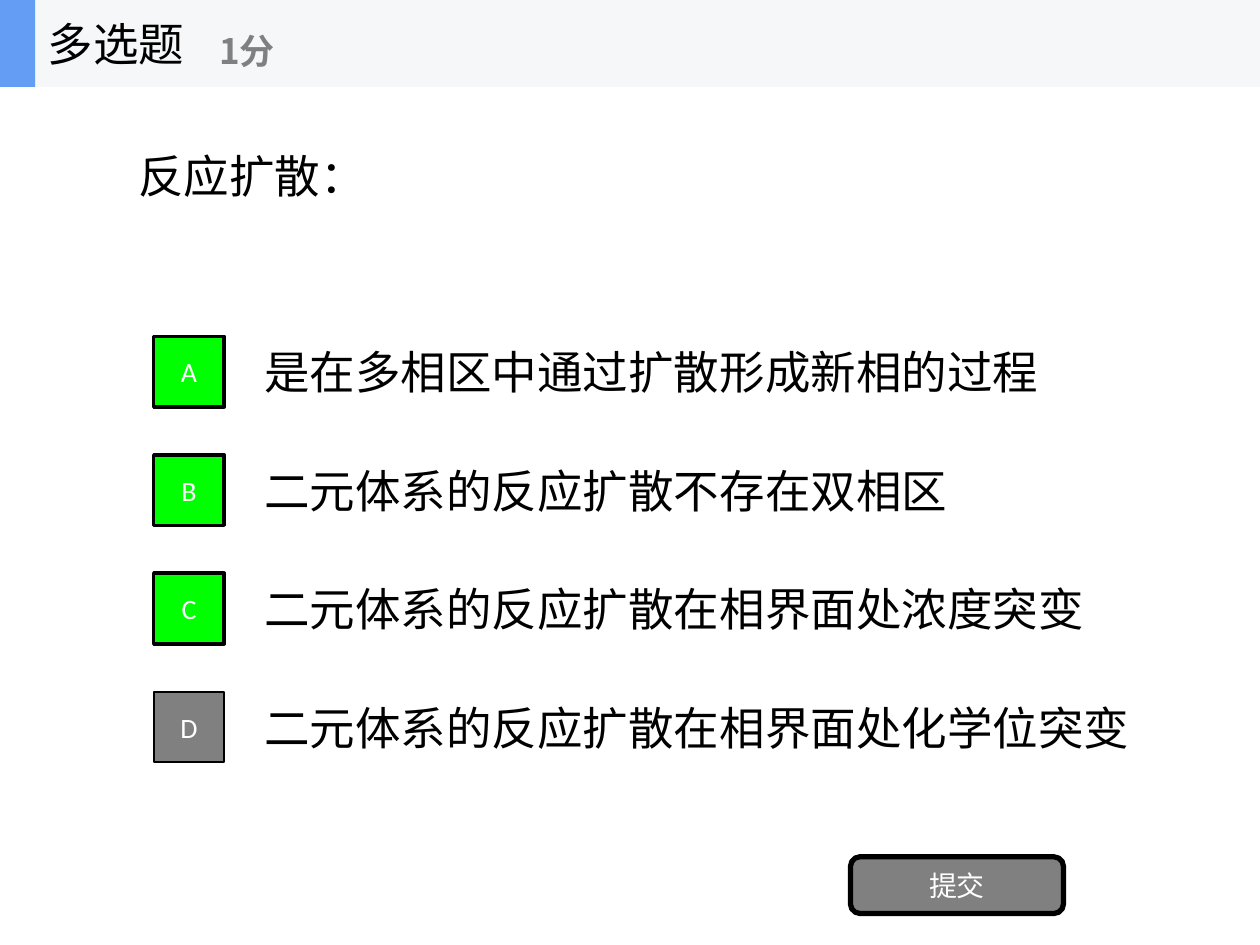
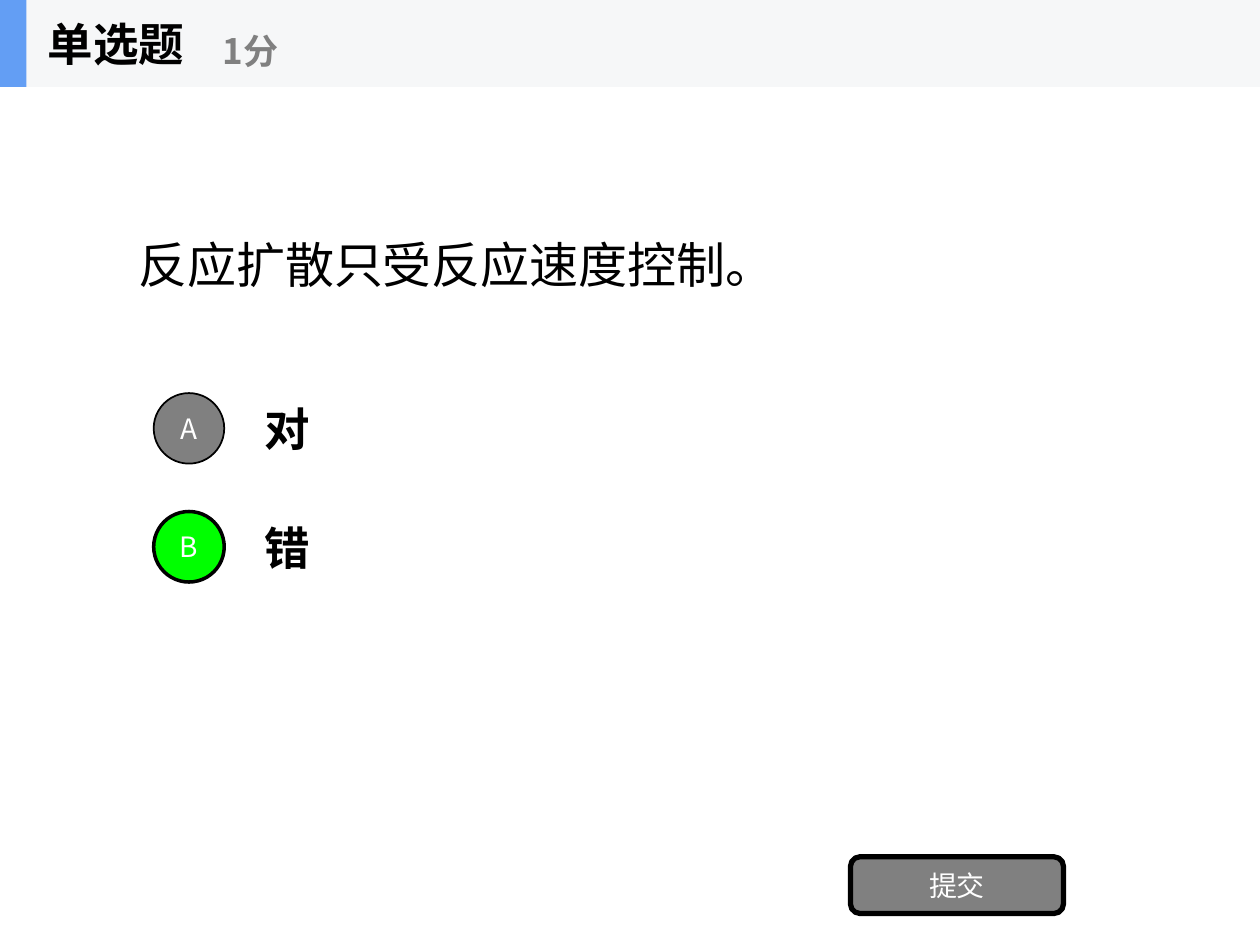
from pptx import Presentation
from pptx.dml.color import RGBColor as RGB
from pptx.enum.shapes import MSO_SHAPE as Kind
from pptx.enum.text import MSO_ANCHOR as Anchor, PP_ALIGN as Align
from pptx.util import Inches, Pt

HUE = {"ink": "000000", "white": "FFFFFF", "gray": "808080",
       "right": "00FF00", "band": "F6F7F8", "blue": "639EF4"}
NOTO = "Noto Sans CJK SC"
STEP = 0.94  # distance between answer rows
SIDE = 0.56  # size of an answer marker

quiz = [
    {"title": "多选题", "bold": False, "font": "Calibri", "tab": 0.28,
     "wide": 1.39, "mark": 1.64, "ask": "反应扩散：", "ask_y": 0.22,
     "size": 26, "lead": 1.0, "kind": Kind.RECTANGLE, "top": 2.6,
     "answers": [("是在多相区中通过扩散形成新相的过程", True),
                 ("二元体系的反应扩散不存在双相区", True),
                 ("二元体系的反应扩散在相界面处浓度突变", True),
                 ("二元体系的反应扩散在相界面处化学位突变", False)]},
    {"title": "单选题", "bold": True, "font": NOTO, "tab": 0.21,
     "wide": 2.08, "mark": 1.67, "ask": "反应扩散只受反应速度控制。", "ask_y": 0.69,
     "size": 28, "lead": 2.0, "kind": Kind.OVAL, "top": 3.05,
     "answers": [("对", False), ("错", True)]},
]


def write(item, text, size, font, hue="ink", bold=False):
    frame = item.text_frame
    frame.word_wrap = True
    frame.vertical_anchor = Anchor.MIDDLE
    para = frame.paragraphs[0]
    para.text = text
    para.font.size = Pt(size)
    para.font.name = font
    para.font.bold = bold
    para.font.color.rgb = RGB.from_string(HUE[hue])
    return para


def draw(shapes, kind, area, fill, line=0):
    item = shapes.add_shape(kind, *map(Inches, area))
    item.shadow.inherit = False
    item.fill.solid()
    item.fill.fore_color.rgb = RGB.from_string(HUE[fill])
    if line:
        item.line.color.rgb = RGB.from_string(HUE["ink"])
        item.line.width = Pt(line)
    else:
        item.line.fill.background()
    return item


prs = Presentation()
prs.slide_width, prs.slide_height = Inches(10), Inches(7.5)

for page in quiz:
    shapes = prs.slides.add_slide(prs.slide_layouts[6]).shapes
    font, bold = page["font"], page["bold"]

    # Question
    area = 1, page["ask_y"], 8, 2.34
    ask = shapes.add_textbox(*map(Inches, area))
    write(ask, page["ask"], page["size"], font).line_spacing = page["lead"]

    # Answers
    for row, (text, right) in enumerate(page["answers"]):
        area = 2, page["top"] + row * STEP, 7.23, 0.7
        label = shapes.add_textbox(*map(Inches, area))
        write(label, text, 26, font, bold=bold)

    # Answer markers, green where right
    for row, (text, right) in enumerate(page["answers"]):
        area = 1.22, page["top"] + 0.07 + row * STEP, SIDE, SIDE
        fill, line = ("right", 2) if right else ("gray", 1)
        mark = draw(shapes, page["kind"], area, fill, line)
        write(mark, "ABCD"[row], 16, font, "white").alignment = Align.CENTER

    # Submit button
    button = draw(shapes, Kind.ROUNDED_RECTANGLE, (6.75, 6.8, 1.69, 0.45), "gray", 3)
    write(button, "提交", 16, font, "white").alignment = Align.CENTER

    # Header band with title and score
    head = shapes.add_group_shape().shapes
    draw(head, Kind.RECTANGLE, (0, 0, 10, 0.69), "band")
    draw(head, Kind.RECTANGLE, (0, 0, page["tab"], 0.69), "blue")
    area = 0.28, 0, page["wide"], 0.69
    title = head.add_textbox(*map(Inches, area))
    write(title, page["title"], 26, font, bold=bold)
    area = page["mark"], 0.12, 2.5, 0.56
    score = head.add_textbox(*map(Inches, area))
    write(score, "1分", 20, NOTO, "gray", True)

prs.save("out.pptx")
